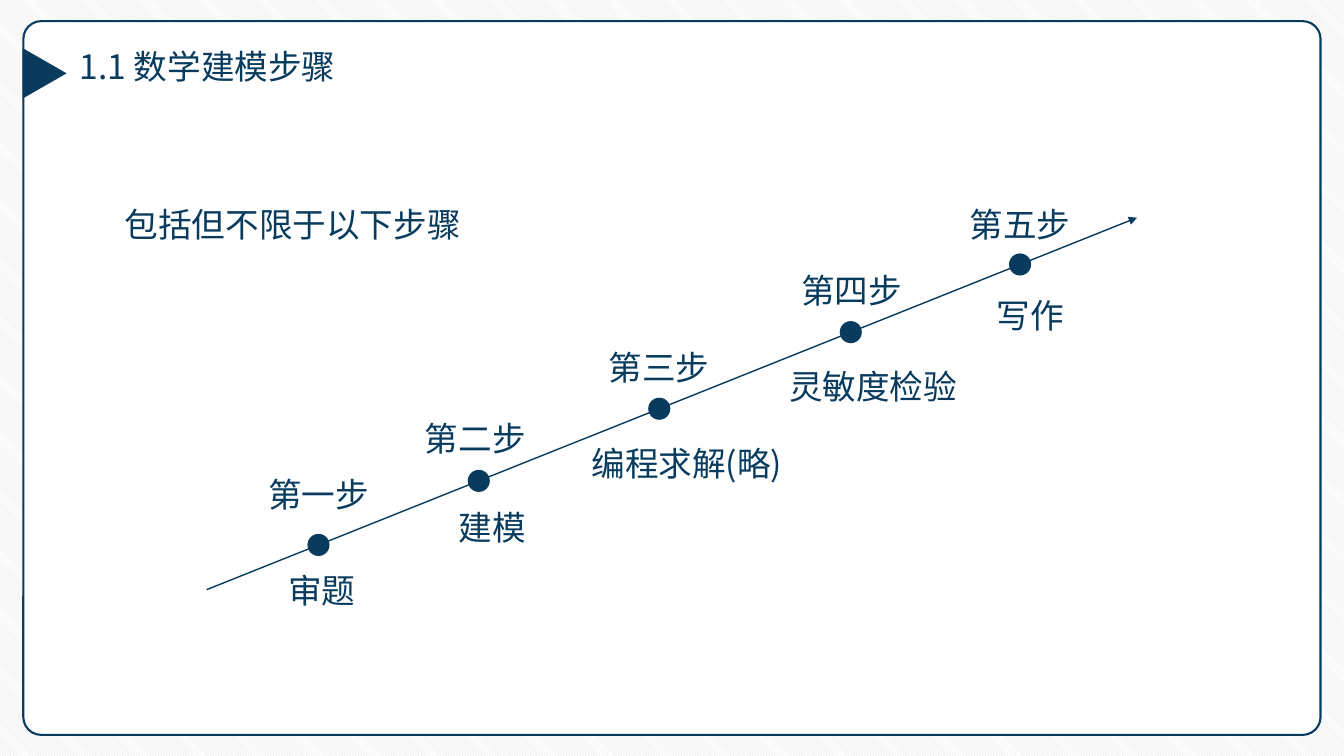
"""Build a slide that shows the steps of mathematical modelling along a rising arrow."""
from lxml import etree
from pptx import Presentation
from pptx.dml.color import RGBColor
from pptx.enum.dml import MSO_PATTERN
from pptx.enum.shapes import MSO_CONNECTOR, MSO_SHAPE
from pptx.enum.text import MSO_ANCHOR, MSO_AUTO_SIZE, PP_ALIGN
from pptx.oxml.ns import qn
from pptx.util import Pt

LEFT, CENTER = PP_ALIGN.LEFT, PP_ALIGN.CENTER
TOP, FIT = MSO_ANCHOR.TOP, MSO_AUTO_SIZE.NONE
ROUND, OVAL = MSO_SHAPE.ROUNDED_RECTANGLE, MSO_SHAPE.OVAL
WEDGE = MSO_SHAPE.ISOSCELES_TRIANGLE
LINE = MSO_CONNECTOR.STRAIGHT
HATCH = MSO_PATTERN.LIGHT_DOWNWARD_DIAGONAL

NAVY, WHITE, GREY = "083B5E", "FFFFFF", "D9D9D9"
FONT, SIZE, HIGH, DOT = "Noto Sans CJK SC", 24, 36, 15.8

TITLE = ("1.1 数学建模步骤", 49.7, 29.5, 224)
INTRO = ("包括但不限于以下步骤", 82, 141.8, 291)
START, END = (147.6, 421.2), (812.2, 155.5)
STEPS = [
    (227.5, ("第一步", 175, 334.8, 105), ("审题", 198.7, 403.2, 96.5)),
    (342, ("第二步", 280, 295.2, 119), ("建模", 320.4, 358.6, 72)),
    (470.9, ("第三步", 415.4, 244, 111), ("编程求解(略)", 415.4, 312.5, 152.6)),
    (607.7, ("第四步", 555.8, 189.4, 105), ("灵敏度检验", 556.6, 257.8, 151)),
    (728.6, ("第五步", 676, 141.8, 105), ("写作", 704.9, 207.4, 105)),
]


def color(code):
    return RGBColor.from_string(code)


def place(x, y, w, h):
    return [Pt(v) for v in (x, y, w, h)]


def write(box, text, align=LEFT):
    frame = box.text_frame
    frame.word_wrap = True
    frame.auto_size = FIT
    frame.vertical_anchor = TOP
    para = frame.paragraphs[0]
    para.alignment = align
    para.line_spacing = 1.0
    para.space_before = Pt(0)
    run = para.add_run()
    run.text = text
    run.font.size = Pt(SIZE)
    run.font.name = FONT
    run.font.color.rgb = color(NAVY)
    east = etree.SubElement(run.font._element, qn("a:ea"))
    east.set("typeface", FONT)


def label(slide, item, align=LEFT):
    text, x, y, w = item
    write(slide.shapes.add_textbox(*place(x, y, w, HIGH)), text, align)


def shape(slide, kind, box, fill):
    item = slide.shapes.add_shape(kind, *place(*box))
    item.shadow.inherit = False
    item.fill.solid()
    item.fill.fore_color.rgb = color(fill)
    item.line.fill.background()
    return item


def arrow(slide):
    item = slide.shapes.add_connector(LINE, *place(*START, *END))
    item.line.color.rgb = color(NAVY)
    item.line.width = Pt(1)
    tail = etree.SubElement(item.line._get_or_add_ln(), qn("a:tailEnd"))
    tail.set("type", "triangle")
    etree.SubElement(item._element.spPr, qn("a:effectLst"))


def main():
    deck = Presentation()
    deck.slide_width, deck.slide_height = Pt(960), Pt(540)
    slide = deck.slides.add_slide(deck.slide_layouts[5])
    back = slide.background.fill
    back.patterned()
    back.pattern = HATCH
    back.fore_color.rgb = color(GREY)
    back.back_color.rgb = color(WHITE)

    card = shape(slide, ROUND, (16.7, 15.1, 926.6, 509.8), WHITE)
    card.adjustments[0] = 0.025
    card.line.color.rgb = color(NAVY)
    card.line.width = Pt(1.5)
    slide.shapes._spTree.insert(2, card._element)

    title = slide.shapes.title
    text, x, y, w = TITLE
    title.left, title.top, title.width, title.height = place(x, y, w, HIGH)
    write(title, text)
    mark = shape(slide, WEDGE, (13.9, 36.7, 36, 31.4), NAVY)
    mark.rotation = 90

    label(slide, INTRO)
    arrow(slide)
    slope = (END[1] - START[1]) / (END[0] - START[0])
    for mid, step, task in STEPS:
        level = START[1] + (mid - START[0]) * slope
        shape(slide, OVAL, (mid - DOT / 2, level - DOT / 2, DOT, DOT), NAVY)
        label(slide, step, CENTER)
        label(slide, task)
    deck.save("out.pptx")


if __name__ == "__main__":
    main()
